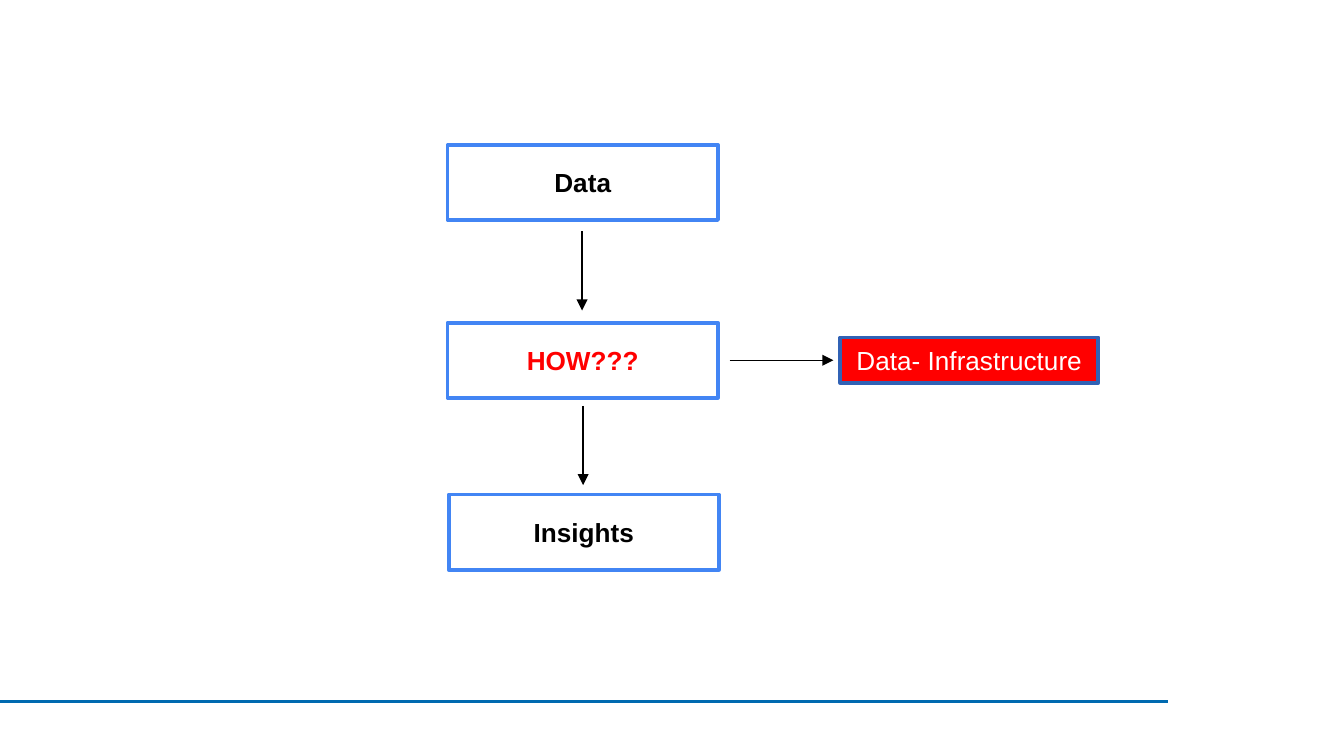
from dataclasses import dataclass

from lxml.etree import SubElement
from pptx import Presentation
from pptx.dml.color import RGBColor
from pptx.enum.shapes import MSO_CONNECTOR, MSO_SHAPE
from pptx.enum.text import MSO_ANCHOR, PP_ALIGN
from pptx.oxml.ns import qn
from pptx.slide import Slide
from pptx.text.text import TextFrame
from pptx.util import Cm, Pt


@dataclass(frozen=True)
class Box:
    text: str
    left: float
    top: float
    width: float = 5.11
    height: float = 1.42
    fill: str = "FFFFFF"
    border: str = "4285F4"
    color: str = "000000"
    bold: bool = True


@dataclass(frozen=True)
class Line:
    start: tuple[float, float]
    end: tuple[float, float]
    color: str = "000000"
    width: float = 0.75
    arrow: bool = True


BOXES = [
    Box("Data", 8.46, 2.74),
    Box("HOW???", 8.46, 6.1, color="FF0000"),
    Box("Insights", 8.48, 9.35),
    Box("Data- Infrastructure", 15.88, 6.38, 4.88, 0.86,
        fill="FF0000", border="3162B5", color="FFFFFF", bold=False),
]

LINES = [
    Line((0, 13.26), (22.07, 13.26), "006AB0", 1.5, arrow=False),
    Line((11, 4.37), (11, 5.87)),
    Line((11.02, 7.67), (11.02, 9.17)),
    Line((13.79, 6.81), (15.75, 6.81)),
]


def rgb(value: str) -> RGBColor:
    return RGBColor.from_string(value)


def write_text(frame: TextFrame, text: str, *, color: str, bold: bool,
               size: float = 14, font: str = "Arial") -> None:
    frame.word_wrap = True
    frame.vertical_anchor = MSO_ANCHOR.MIDDLE
    paragraph = frame.paragraphs[0]
    paragraph.alignment = PP_ALIGN.CENTER
    run = paragraph.add_run()
    run.text = text
    run.font.name = font
    run.font.size = Pt(size)
    run.font.bold = bold
    run.font.color.rgb = rgb(color)


def draw_box(slide: Slide, box: Box) -> None:
    shape = slide.shapes.add_shape(
        MSO_SHAPE.RECTANGLE,
        Cm(box.left), Cm(box.top), Cm(box.width), Cm(box.height),
    )
    shape.shadow.inherit = False
    shape.fill.solid()
    shape.fill.fore_color.rgb = rgb(box.fill)
    shape.line.color.rgb = rgb(box.border)
    shape.line.width = Pt(2)
    write_text(shape.text_frame, box.text, color=box.color, bold=box.bold)


def draw_line(slide: Slide, line: Line) -> None:
    connector = slide.shapes.add_connector(
        MSO_CONNECTOR.STRAIGHT,
        *(Cm(value) for value in (*line.start, *line.end)),
    )
    connector.line.color.rgb = rgb(line.color)
    connector.line.width = Pt(line.width)
    properties = connector._element.spPr
    if line.arrow:
        SubElement(properties.find(qn("a:ln")), qn("a:tailEnd"), type="triangle")
    SubElement(properties, qn("a:effectLst"))


def main() -> None:
    presentation = Presentation()
    presentation.slide_width = Cm(25.4)
    presentation.slide_height = Cm(14.29)
    slide = presentation.slides.add_slide(presentation.slide_layouts[6])
    for line in LINES:
        draw_line(slide, line)
    for box in BOXES:
        draw_box(slide, box)
    presentation.save("out.pptx")


if __name__ == "__main__":
    main()
